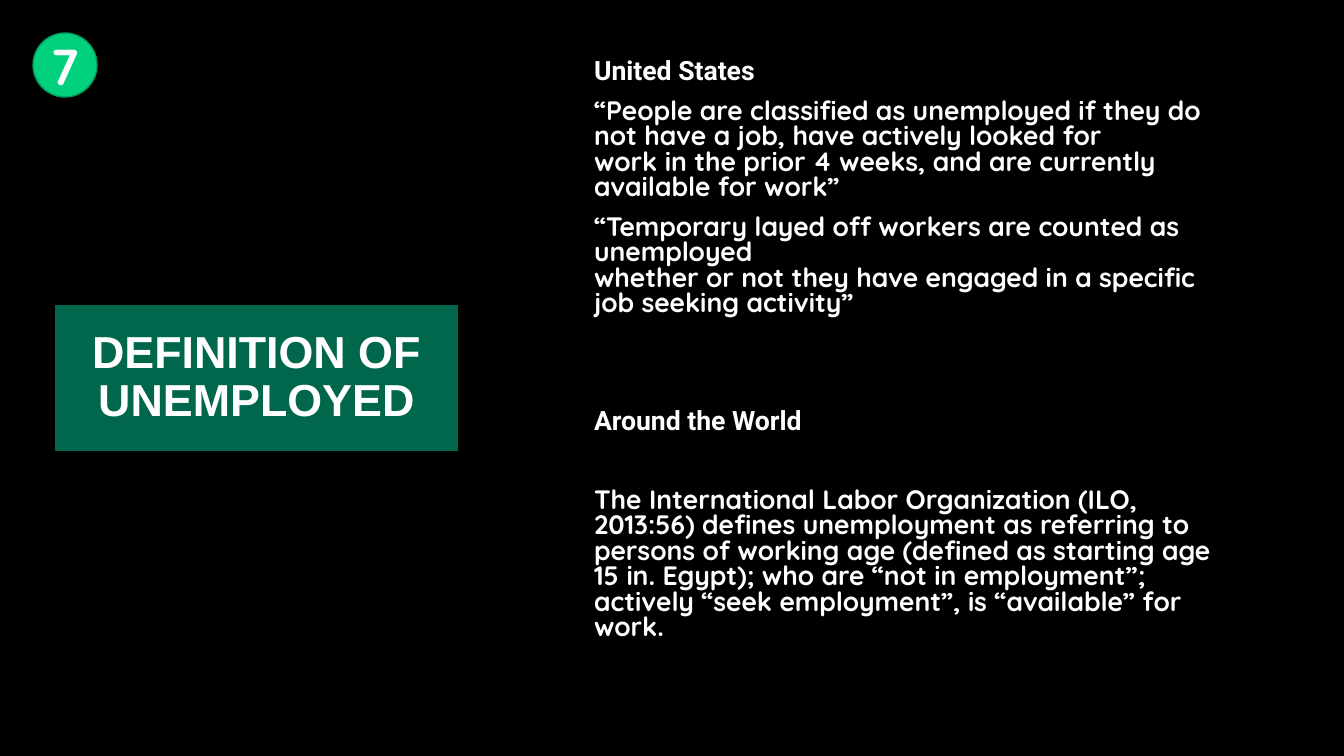
"""Build the slide that defines unemployment."""
from copy import deepcopy
from dataclasses import dataclass

from lxml import etree
from pptx import Presentation
from pptx import util as u
from pptx.dml.color import RGBColor
from pptx.enum import shapes, text
from pptx.oxml.ns import qn


@dataclass(frozen=True)
class Theme:
    """Colours, fonts and type sizes of the slide."""
    back: str = "000000"
    ink: str = "FFFFFF"
    panel: str = "00CC99"
    badge: str = "01D17D"
    badge_line: str = "019B5C"
    title_font: str = "Arial"
    head_font: str = "Roboto"
    body_font: str = "Quicksand"
    title_size: int = 32
    body_size: int = 19
    badge_size: int = 36


THEME = Theme()
UNITED_STATES = (
    "“People are classified as unemployed if they do not have a job, have actively looked for\v"
    "work in the prior 4 weeks, and are currently available for work”",
    "“Temporary layed off workers are counted as unemployed\v"
    "whether or not they have engaged in a specific job seeking activity”",
)
WORLD = (
    "The International Labor Organization (ILO, 2013:56) defines unemployment as referring to "
    "persons of working age (defined as starting age 15 in. Egypt); who are “not in employment”; "
    "actively “seek employment”, is “available” for work.",
)


def px(count):
    """Turn pixels into EMU."""
    return u.Emu(round(count * 914400 / 100.8))


def place(box, left, top, width, height):
    """Move and size a box, in pixels."""
    box.left, box.top, box.width, box.height = map(px, (left, top, width, height))


def paint(box, fill, line, weight, alpha=None):
    """Set the fill and the outline of a box."""
    box.fill.solid()
    box.fill.fore_color.rgb = RGBColor.from_string(fill)
    if alpha is not None:
        colour = box.fill._xPr.find(qn("a:solidFill"))[0]
        etree.SubElement(colour, qn("a:alpha")).set("val", str(alpha * 1000))
    box.line.color.rgb = RGBColor.from_string(line)
    box.line.width = u.Pt(weight)


def write(para, words, *, font, size, align=None, spacing=None, before=0):
    """Fill a paragraph with bold text in one format."""
    para.text = words
    para.alignment = align
    para.line_spacing = spacing
    para.space_before = u.Pt(before)
    for span in para.runs:
        span.font.name = font
        span.font.size = u.Pt(size)
        span.font.bold = True
        span.font.color.rgb = RGBColor.from_string(THEME.ink)
    style = para.runs[0].font._element
    for line_break in para._p.findall(qn("a:br")):
        line_break.insert(0, deepcopy(style))


def remove_bullet(para):
    """Take the bullet and the hanging indent off a paragraph."""
    props = para._p.get_or_add_pPr()
    props.set("marL", "0")
    props.set("indent", "0")
    etree.SubElement(props, qn("a:buNone"))


def fill_title(box, words):
    """Format the title as a translucent panel."""
    place(box, 54, 304, 405, 148)
    paint(box, THEME.panel, THEME.back, 2, alpha=50)
    frame = box.text_frame
    frame.auto_size = text.MSO_AUTO_SIZE.NONE
    frame.vertical_anchor = text.MSO_ANCHOR.MIDDLE
    write(frame.paragraphs[0], words, font=THEME.title_font, size=THEME.title_size,
          align=text.PP_ALIGN.CENTER, spacing=0.9)


def fill_section(box, top, height, heading, quotes, gap):
    """Write a heading and its paragraphs, with a gap in points below the heading."""
    place(box, 584, top, 668, height)
    frame = box.text_frame
    frame.auto_size = text.MSO_AUTO_SIZE.NONE
    frame.vertical_anchor = text.MSO_ANCHOR.TOP
    for index, words in enumerate((heading, *quotes)):
        para = frame.add_paragraph() if index else frame.paragraphs[0]
        write(para, words, font=THEME.body_font if index else THEME.head_font,
              size=THEME.body_size, spacing=0.8, before=gap if index == 1 else 10)
        remove_bullet(para)


def add_badge(page, number):
    """Add the round slide number."""
    badge = page.shapes.add_shape(shapes.MSO_SHAPE.OVAL, *map(px, (33, 33, 64, 64)))
    badge.shadow.inherit = False
    paint(badge, THEME.badge, THEME.badge_line, 1)
    frame = badge.text_frame
    frame.word_wrap = False
    frame.margin_left = frame.margin_right = frame.margin_top = frame.margin_bottom = 0
    frame.vertical_anchor = text.MSO_ANCHOR.MIDDLE
    write(frame.paragraphs[0], number, font=THEME.body_font, size=THEME.badge_size,
          align=text.PP_ALIGN.CENTER)


def main():
    """Build and save the deck."""
    deck = Presentation()
    deck.slide_width, deck.slide_height = px(1344), px(756)
    page = deck.slides.add_slide(deck.slide_layouts.get_by_name("Two Content"))
    page.background.fill.solid()
    page.background.fill.fore_color.rgb = RGBColor.from_string(THEME.back)
    title, upper, lower = page.placeholders
    fill_title(title, "DEFINITION OF UNEMPLOYED")
    fill_section(upper, 55, 293, "United States", UNITED_STATES, gap=10)
    fill_section(lower, 405, 276, "Around the World", WORLD, gap=38)
    add_badge(page, "7")
    deck.save("out.pptx")


if __name__ == "__main__":
    main()
